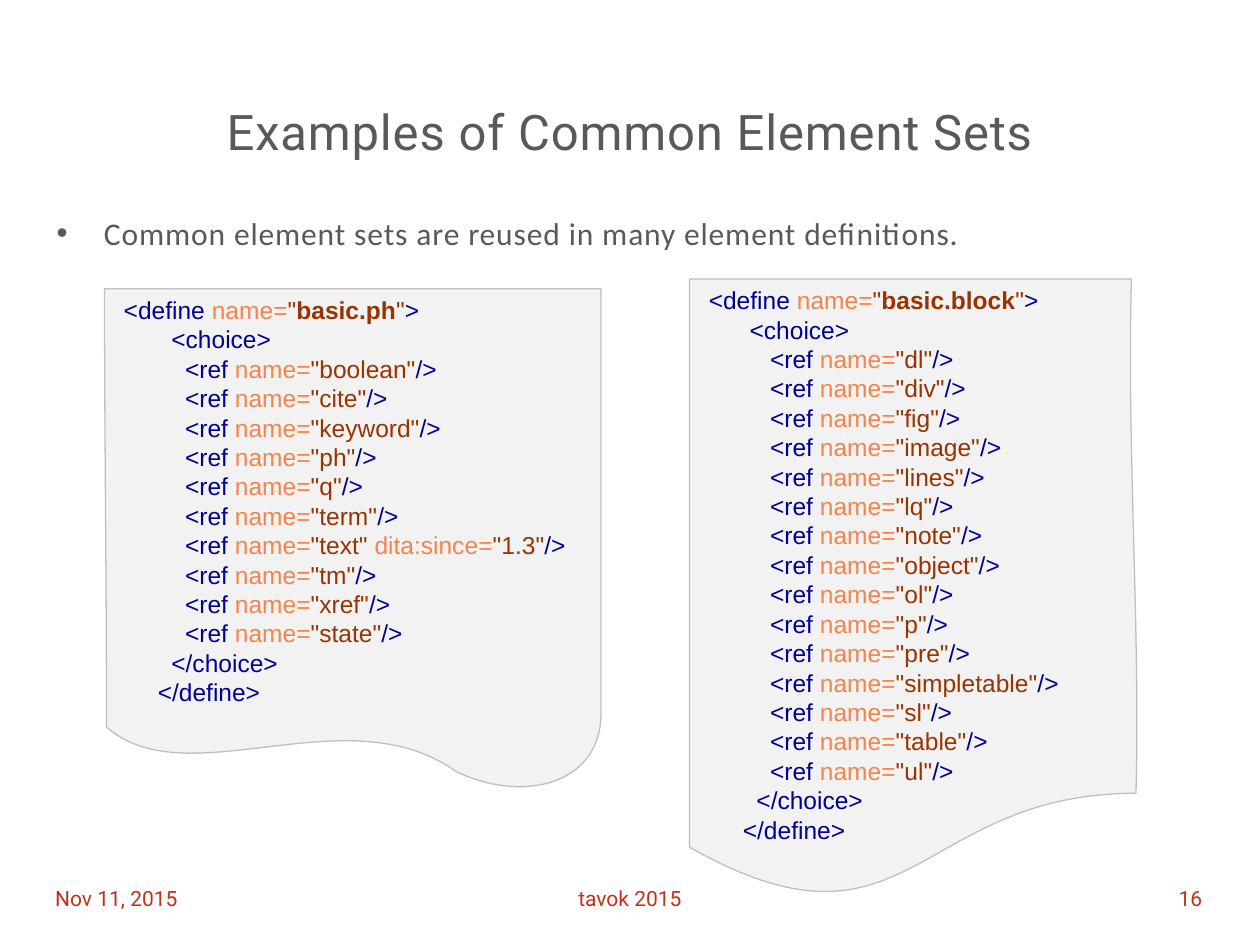
import pptx
import pptx.dml.color
import pptx.enum.text
import pptx.util
from lxml import etree

ALIGN = pptx.enum.text.PP_ALIGN
ANCHOR = pptx.enum.text.MSO_ANCHOR
WIDTH, HEIGHT = pptx.util.Inches(10), pptx.util.Inches(7.5)

TAG, ATTRIBUTE, EQUALS, VALUE = "000096", "F5844C", "FF8040", "993300"
GREY, RED = "595959", "C0311A"
SPACE = 0.278 * 14  # width of one code column, in points


def colour(value):
    return pptx.dml.color.RGBColor.from_string(value)


def share_box(left, top, width, height):
    """Turn percentages of the slide into a box in slide units."""
    return (int(WIDTH * left / 100), int(HEIGHT * top / 100),
            int(WIDTH * width / 100), int(HEIGHT * height / 100))


def set_all(target, formats):
    for name, value in formats.items():
        setattr(target, name, value)


def add_element(parent, tag, **attributes):
    return etree.SubElement(parent, pptx.oxml.ns.qn(tag), attributes)


def add_span(para, text, hue, font="Arial", size=14, bold=False, spacing=0):
    span = para.add_run()
    span.text = text
    set_all(span.font, {"name": font, "size": pptx.util.Pt(size), "bold": bold})
    span.font.color.rgb = colour(hue)
    if spacing:
        span.font._element.set("spc", str(int(spacing * 100)))


def set_indent(para, left, first=0):
    """Set the left margin and first-line indent, in points."""
    properties = para._p.get_or_add_pPr()
    properties.set("marL", str(pptx.util.Pt(left)))
    properties.set("indent", str(pptx.util.Pt(first)))
    return properties


def prepare_frame(shape, anchor):
    set_all(shape.text_frame, {
        "word_wrap": True, "vertical_anchor": anchor,
        "auto_size": pptx.enum.text.MSO_AUTO_SIZE.NONE})
    return shape.text_frame.paragraphs[0]


def fill_placeholder(shape, box, text, font, size, align):
    set_all(shape, dict(zip(("left", "top", "width", "height"), box)))
    para = prepare_frame(shape, ANCHOR.TOP)
    para.alignment = align
    add_span(para, text, GREY, font, size, spacing=0.5)
    return para


def add_heading(page, title_box, body_box):
    fill_placeholder(page.shapes.title, title_box,
                     "Examples of Common Element Sets", "Roboto", 28, ALIGN.CENTER)
    para = fill_placeholder(
        page.placeholders[1], body_box,
        "Common element sets are reused in many element definitions.",
        "Calibri", 18, ALIGN.LEFT)
    set_all(para, {"line_spacing": pptx.util.Pt(23.6),
                   "space_before": pptx.util.Pt(6)})
    properties = set_indent(para, 27, -27)
    add_element(properties, "a:buFont", typeface="Arial")
    add_element(properties, "a:buChar", char="•")


def add_sheet(page, box, segments):
    """Draw a torn sheet; segments of one point are lines, of three are curves.

    Points are percentages of the box, starting from its top left corner.
    """
    left, top, width, height = box
    builder = page.shapes.build_freeform(left, top, scale=1.0)
    builder.add_line_segments([(left + width, top), (left + width, top + height),
                               (left, top + height)], close=True)
    sheet = builder.convert_to_shape()

    # Replace the plain rectangle with the torn outline
    outline = next(sheet._element.iter(pptx.oxml.ns.qn("a:path")))
    for part in list(outline):
        outline.remove(part)
    for tag, points in [("a:moveTo", [(0, 0)])] + [
            ("a:lnTo" if len(segment) == 1 else "a:cubicBezTo", segment)
            for segment in segments]:
        command = add_element(outline, tag)
        for x, y in points:
            add_element(command, "a:pt", x=str(int(width * x / 100)),
                        y=str(int(height * y / 100)))
    add_element(outline, "a:close")

    sheet.shadow.inherit = False
    sheet.fill.solid()
    sheet.fill.fore_color.rgb = colour("F2F2F2")
    sheet.line.color.rgb = colour("BFBFBF")
    sheet.line.width = pptx.util.Pt(0.75)
    return sheet


def attribute_spans(name, value):
    return [(f" {name}", ATTRIBUTE), ("=", EQUALS), (f'"{value}"', VALUE)]


def add_definition(page, box, segments, name, references, choice_indent):
    """A sheet holding one element set as indented, coloured markup."""
    sheet = add_sheet(page, box, segments)
    lines = [(1, [("<define", TAG), (" name", ATTRIBUTE), ("=", EQUALS),
                  ('"', VALUE), (name, VALUE, True), ('"', VALUE), (">", TAG)]),
             (choice_indent, [("<choice>", TAG)])]
    for reference in references:
        spans = attribute_spans("name", reference)
        if reference == "text":
            spans += attribute_spans("dita:since", "1.3")
        lines.append((10, [("<ref", TAG), *spans, ("/>", TAG)]))
    lines += [(8, [("</choice>", TAG)]), (6, [("</define>", TAG)])]

    para = prepare_frame(sheet, ANCHOR.TOP)
    for number, (columns, spans) in enumerate(lines):
        if number:
            para = sheet.text_frame.add_paragraph()
        para.alignment = ALIGN.LEFT
        set_indent(para, columns * SPACE)
        for text, hue, *bold in spans:
            add_span(para, text, hue, bold=bool(bold))


def add_footer(page, top, height):
    for left, width, text, align in (
            (3.4, 23.3, "Nov 11, 2015", ALIGN.LEFT),
            (35.3, 29.4, "tavok 2015", ALIGN.CENTER),
            (73.1, 23.3, "16", ALIGN.RIGHT)):
        shape = page.shapes.add_textbox(*share_box(left, top, width, height))
        para = prepare_frame(shape, ANCHOR.MIDDLE)
        para.alignment = align
        add_span(para, text, RED, "Roboto", 12)


def main():
    deck = pptx.Presentation()
    set_all(deck, {"slide_width": WIDTH, "slide_height": HEIGHT})
    page = deck.slides.add_slide(deck.slide_layouts[1])

    # Footer, title and lead sentence
    add_footer(page, 92.4, 5.33)
    add_heading(page, share_box(3.55, 10.05, 92.9, 6.27),
                share_box(3.5, 21.6, 92.9, 68.27))

    # Phrase elements
    add_definition(
        page, share_box(8.3, 30.55, 39.4, 52.67),
        [[(100, 0)], [(100, 85.8)],
         [(99.6, 100), (83.8, 103.3), (70.8, 97)],
         [(48.7, 81.3), (16.8, 102.3), (0.4, 88.1)],
         [(0.4, 58.7), (0, 29.4), (0, 0)]],
        "basic.ph",
        ["boolean", "cite", "keyword", "ph", "q", "term", "text", "tm", "xref",
         "state"], 8)

    # Block elements
    add_definition(
        page, share_box(54.73, 29.52, 35.5, 64.8),
        [[(98.8, 0)],
         [(97.7, 26.7), (100.8, 57.4), (99.8, 84)],
         [(50.4, 84), (49.3, 113.2), (0, 92.8)],
         [(0, 0)]],
        "basic.block",
        ["dl", "div", "fig", "image", "lines", "lq", "note", "object", "ol", "p",
         "pre", "simpletable", "sl", "table", "ul"], 7)

    deck.save("out.pptx")


if __name__ == "__main__":
    main()
